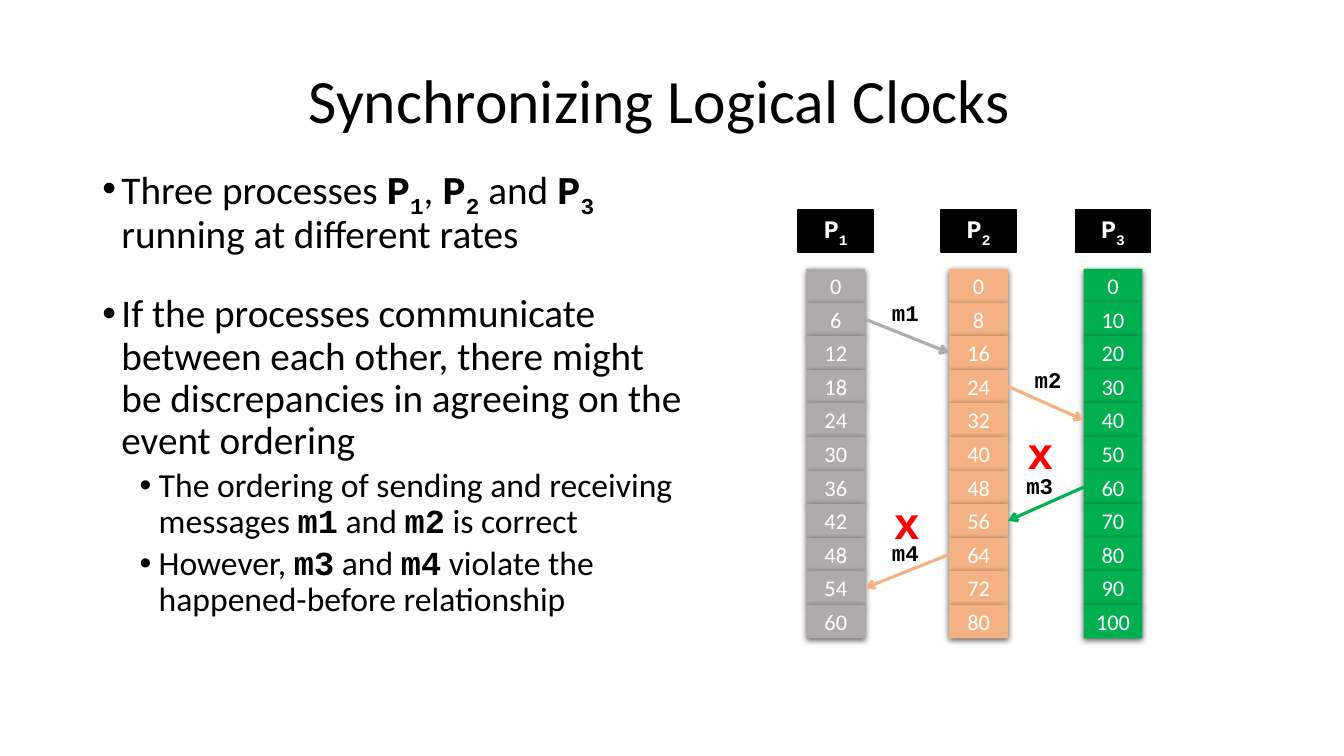
from typing import NamedTuple

from lxml.etree import SubElement
from pptx import Presentation
from pptx.dml.color import RGBColor
from pptx.enum.shapes import MSO_CONNECTOR, MSO_SHAPE
from pptx.enum.text import MSO_ANCHOR, PP_ALIGN
from pptx.oxml.ns import qn
from pptx.shapes.autoshape import Shape
from pptx.util import Emu, Inches, Pt

COLS, ROWS = 160, 90
CELL_W, CELL_H, CELL_TOP = 7, 4, 32
TICKS = 11
MONO = "Courier New"


class Clock(NamedTuple):
    name: str
    col: float
    step: int
    color: str


class Message(NamedTuple):
    """A message between two (clock, tick) cells, with its label's place."""
    name: str
    start: tuple[int, int]
    end: tuple[int, int]
    col: float
    row: float


class Bullet(NamedTuple):
    text: str
    level: int
    size: float
    before: float


CLOCKS = [
    Clock("P_1", 96, 6, "AFABAB"),
    Clock("P_2", 113, 8, "F4B183"),
    Clock("P_3", 129, 10, "00B050"),
]
MESSAGES = [
    Message("m1", (0, 1), (1, 2), 105, 35),
    Message("m2", (1, 3), (2, 4), 122, 43),
    Message("m3", (2, 6), (1, 7), 121, 55.6),
    Message("m4", (1, 8), (0, 9), 105, 63.6),
]
CROSSES = [(120.8, 50), (104.9, 58.3)]
BULLETS = [
    Bullet("Three processes |P_1|, |P_2| and |P_3| running at different rates",
           0, 28, 0),
    Bullet("If the processes communicate between each other, there might be "
           "discrepancies in agreeing on the event ordering", 0, 28, 26.5),
    Bullet("The ordering of sending and receiving messages |m1| and |m2| is correct",
           1, 24, 3.8),
    Bullet("However, |m3| and |m4| violate the happened-before relationship",
           1, 24, 3.8),
]

deck = Presentation()
deck.slide_width, deck.slide_height = Inches(13.33), Inches(7.5)
slide = deck.slides.add_slide(deck.slide_layouts[6])


def paint(code: str) -> RGBColor:
    return RGBColor.from_string(code)


def place(*grid: float) -> list[Emu]:
    """Turn left, top, width, height in grid units into lengths."""
    units = (deck.slide_width / COLS, deck.slide_height / ROWS) * 2
    return [Emu(round(part * unit)) for part, unit in zip(grid, units)]


def write(shape: Shape, text: str, *, size: float, font: str = "Calibri",
          color: str = "000000", bold: bool = False, align=PP_ALIGN.LEFT,
          anchor=MSO_ANCHOR.TOP, spacing: float = 1, before: float = 0,
          level: int | None = None, more: bool = False) -> None:
    """Write a paragraph; |bars| enclose code and _ starts a subscript."""
    frame = shape.text_frame
    frame.word_wrap = True
    frame.vertical_anchor = anchor
    para = frame.add_paragraph() if more else frame.paragraphs[0]
    para.alignment, para.line_spacing = align, spacing
    para.space_before = Pt(before)
    if level is not None:
        para.level = level
        props = para._p.get_or_add_pPr()
        props.set("marL", str(Inches(0.19 + 0.37 * level)))
        props.set("indent", str(Inches(-0.19)))
        SubElement(props, qn("a:buFont"), typeface="Arial")
        SubElement(props, qn("a:buChar"), char="•")
    for i, part in enumerate(text.split("|")):
        code = i % 2 == 1
        for j, piece in enumerate(part.split("_")):
            if not piece:
                continue
            run = para.add_run()
            run.text = piece
            run.font.size = Pt(size)
            run.font.name = MONO if code else font
            run.font.bold = bold or code
            run.font.color.rgb = paint(color)
            if j:
                run._r.get_or_add_rPr().set("baseline", "-25000")


def label(text: str, *grid: float, **style) -> None:
    write(slide.shapes.add_textbox(*place(*grid)), text, **style)


def block(text: str, *grid: float, fill: str, **style) -> Shape:
    shape = slide.shapes.add_shape(MSO_SHAPE.RECTANGLE, *place(*grid))
    shape.shadow.inherit = False
    shape.fill.solid()
    shape.fill.fore_color.rgb = paint(fill)
    shape.line.fill.background()
    write(shape, text, color="FFFFFF", align=PP_ALIGN.CENTER,
          anchor=MSO_ANCHOR.MIDDLE, **style)
    return shape


def shade(shape: Shape) -> None:
    """Cast a soft shadow straight down."""
    effects = shape._element.spPr.find(qn("a:effectLst"))
    shadow = SubElement(effects, qn("a:outerShdw"), blurRad=str(Pt(4.5)),
                        dist=str(Pt(1.5)), dir="5400000", rotWithShape="0")
    black = SubElement(shadow, qn("a:srgbClr"), val="000000")
    SubElement(black, qn("a:alpha"), val="63000")


def stack(clock: Clock) -> list[Shape]:
    """Draw one clock's ticks from top to bottom."""
    cells = []
    for tick in range(TICKS):
        cell = block(str(tick * clock.step), clock.col, CELL_TOP + tick * CELL_H,
                     CELL_W, CELL_H, fill=clock.color, size=16)
        shade(cell)
        cells.append(cell)
    return cells


def head(clock: Clock) -> None:
    box = block(f"|{clock.name}|", clock.col - 1, 25, CELL_W + 2, 5,
                fill="000000", size=18)
    box.line.color.rgb = paint("000000")
    box.line.width = Pt(1)


def send(message: Message, cells: list[list[Shape]]) -> None:
    """Join the two cells with an arrow and name it."""
    (source, sent), (target, got) = message.start, message.end
    right = source < target
    arrow = slide.shapes.add_connector(MSO_CONNECTOR.STRAIGHT, 0, 0, 0, 0)
    arrow.begin_connect(cells[source][sent], 3 if right else 1)
    arrow.end_connect(cells[target][got], 1 if right else 3)
    arrow.line.color.rgb = paint(CLOCKS[source].color)
    arrow.line.width = Pt(2.25)
    SubElement(arrow.line._get_or_add_ln(), qn("a:tailEnd"), type="arrow")
    SubElement(arrow._element.spPr, qn("a:effectLst"))
    label(f"|{message.name}|", message.col, message.row, 7, 4.4, size=16)


def main() -> None:
    label("Synchronizing Logical Clocks", 23, 3.6, 111, 17.4, size=44,
          align=PP_ALIGN.CENTER, anchor=MSO_ANCHOR.MIDDLE, spacing=0.9)
    body = slide.shapes.add_textbox(*place(11, 19.2, 72, 65))
    for i, item in enumerate(BULLETS):
        write(body, item.text, size=item.size, level=item.level,
              before=item.before, spacing=0.9, more=i > 0)
    cells = [stack(clock) for clock in CLOCKS]
    for clock in CLOCKS:
        head(clock)
    for message in MESSAGES:
        send(message, cells)
    for col, row in CROSSES:
        label("x", col, row, 6.1, 7.7, size=32, font="Arial", bold=True,
              color="FF0000", align=PP_ALIGN.CENTER)
    deck.save("out.pptx")


if __name__ == "__main__":
    main()
